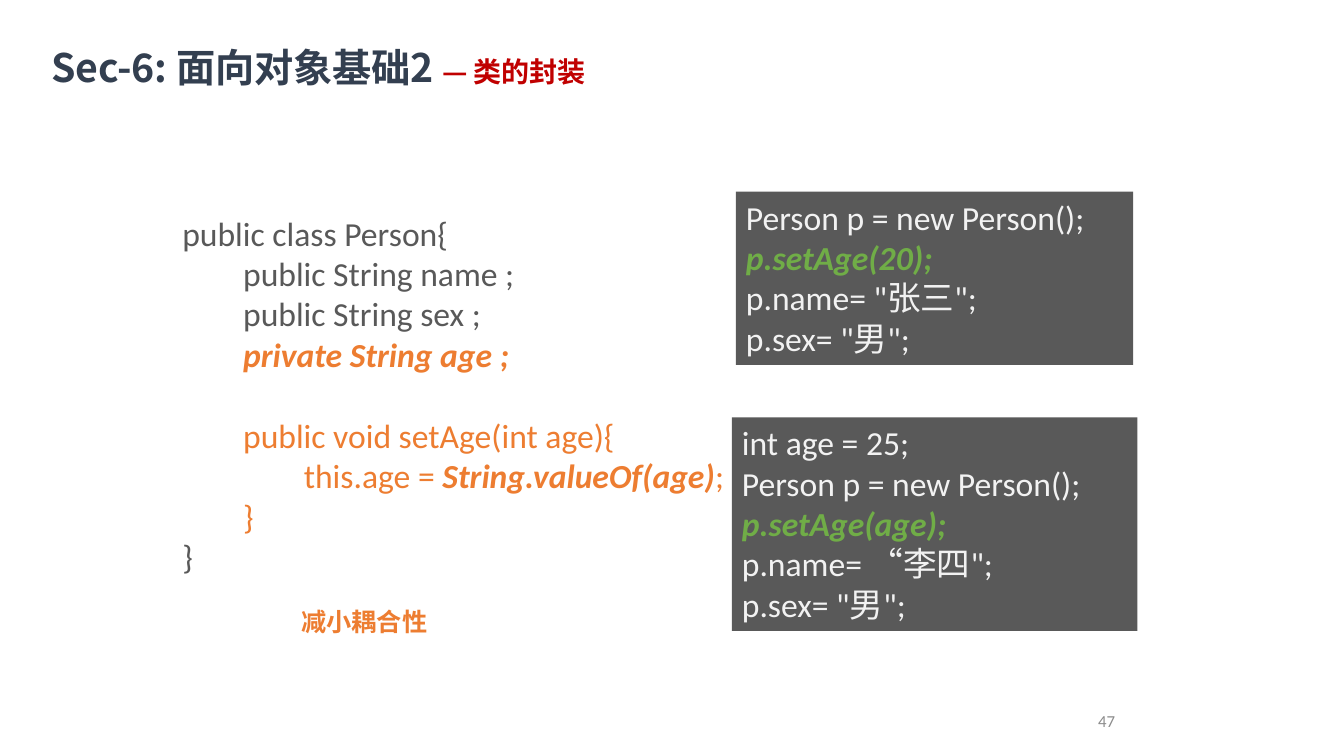
from pptx import Presentation
from pptx.dml.color import RGBColor as RGB
from pptx.enum.shapes import MSO_SHAPE as Kind
from pptx.enum.text import MSO_ANCHOR as Anchor, MSO_AUTO_SIZE as Auto, PP_ALIGN as Align
from pptx.oxml.ns import qn
from pptx.util import Inches, Pt
from lxml.etree import SubElement

LATIN, HAN = "Calibri", "Noto Sans CJK SC"
GREY, ORANGE, GREEN, PALE = "595959", "ED7D31", "70AD47", "F2F2F2"
NAVY, RED, DIM = "333F50", "C00000", "8C8C8C"

TITLE = [("Sec-6: 面向对象基础2 ", NAVY, 28), ("— 类的封装", RED, 20)]
CODE = [
    [("public class Person{", GREY)],
    [("        public String name ;", GREY)],
    [("        public String sex ;", GREY)],
    [("        ", GREY), ("private String age ;", ORANGE, True)],
    [("        public void setAge(int age){", ORANGE)],
    [("                this.age = ", ORANGE), ("String.valueOf(age)", ORANGE, True), (";", ORANGE)],
    [("        }", ORANGE)],
    [("}", GREY)],
]
METHOD, GAP = 4, 29.3
CALLS = [
    ((7.3, 1.9, 3.94, 1.72), [
        [("Person p = new Person();", PALE)],
        [("p.setAge(20);", GREEN, True)],
        [("p.name= \"张三\";", PALE)],
        [("p.sex= \"男\";", PALE)],
    ]),
    ((7.26, 4.14, 4.02, 2.12), [
        [("int age = 25;", PALE)],
        [("Person p = new Person();", PALE)],
        [("p.setAge(age);", GREEN, True)],
        [("p.name= “李四\";", PALE)],
        [("p.sex= \"男\";", PALE)],
    ]),
]


def color(hue):
    return RGB.from_string(hue)


def add_run(para, text, hue, size, face=LATIN, bold=False, slant=False):
    run = para.add_run()
    run.text = text
    font = run.font
    font.size, font.name, font.bold, font.italic = Pt(size), face, bold, slant
    font.color.rgb = color(hue)
    props = run._r.get_or_add_rPr()
    SubElement(props, qn("a:ea")).set("typeface", HAN)
    return props


def add_lines(frame, lines):
    for i, line in enumerate(lines):
        para = frame.add_paragraph() if i else frame.paragraphs[0]
        para.alignment = Align.LEFT
        for text, hue, *strong in line:
            add_run(para, text, hue, 24, bold=bool(strong), slant=bool(strong))


def add_box(slide, *place):
    frame = slide.shapes.add_textbox(*map(Inches, place)).text_frame
    frame.word_wrap = True
    return frame


def add_title(slide):
    title = slide.shapes.title
    title.left, title.top, title.width, title.height = map(Inches, (0.5, 0.42, 6.48, 0.48))
    frame = title.text_frame
    frame.auto_size, frame.word_wrap = Auto.NONE, True
    frame.vertical_anchor = Anchor.TOP
    frame.margin_left = frame.margin_top = Inches(0.01)
    frame.margin_right = frame.margin_bottom = 0
    para = frame.paragraphs[0]
    para.alignment = Align.LEFT
    for text, hue, size in TITLE:
        add_run(para, text, hue, size, HAN, True).set("spc", "-10")


def add_call(slide, place, lines):
    box = slide.shapes.add_shape(Kind.RECTANGLE, *map(Inches, place))
    box.shadow.inherit = False
    box.fill.solid()
    box.fill.fore_color.rgb = color(GREY)
    box.line.fill.background()
    frame = box.text_frame
    frame.word_wrap = True
    frame.vertical_anchor = Anchor.TOP
    add_lines(frame, lines)


def main():
    deck = Presentation()
    deck.slide_width, deck.slide_height = Inches(13.33), Inches(7.5)
    slide = deck.slides.add_slide(deck.slide_layouts[5])
    add_title(slide)

    code = add_box(slide, 1.71, 2.06, 5.81, 3.74)
    add_lines(code, CODE)
    code.paragraphs[METHOD].space_before = Pt(GAP)

    for place, lines in CALLS:
        add_call(slide, place, lines)

    note = add_box(slide, 2.89, 5.97, 1.72, 0.4)
    add_run(note.paragraphs[0], "减小耦合性", ORANGE, 18, HAN, True)

    page = add_box(slide, 8.83, 6.95, 2.33, 0.4)
    page.vertical_anchor = Anchor.MIDDLE
    page.paragraphs[0].alignment = Align.RIGHT
    add_run(page.paragraphs[0], "47", DIM, 12)
    deck.save("out.pptx")


if __name__ == "__main__":
    main()
